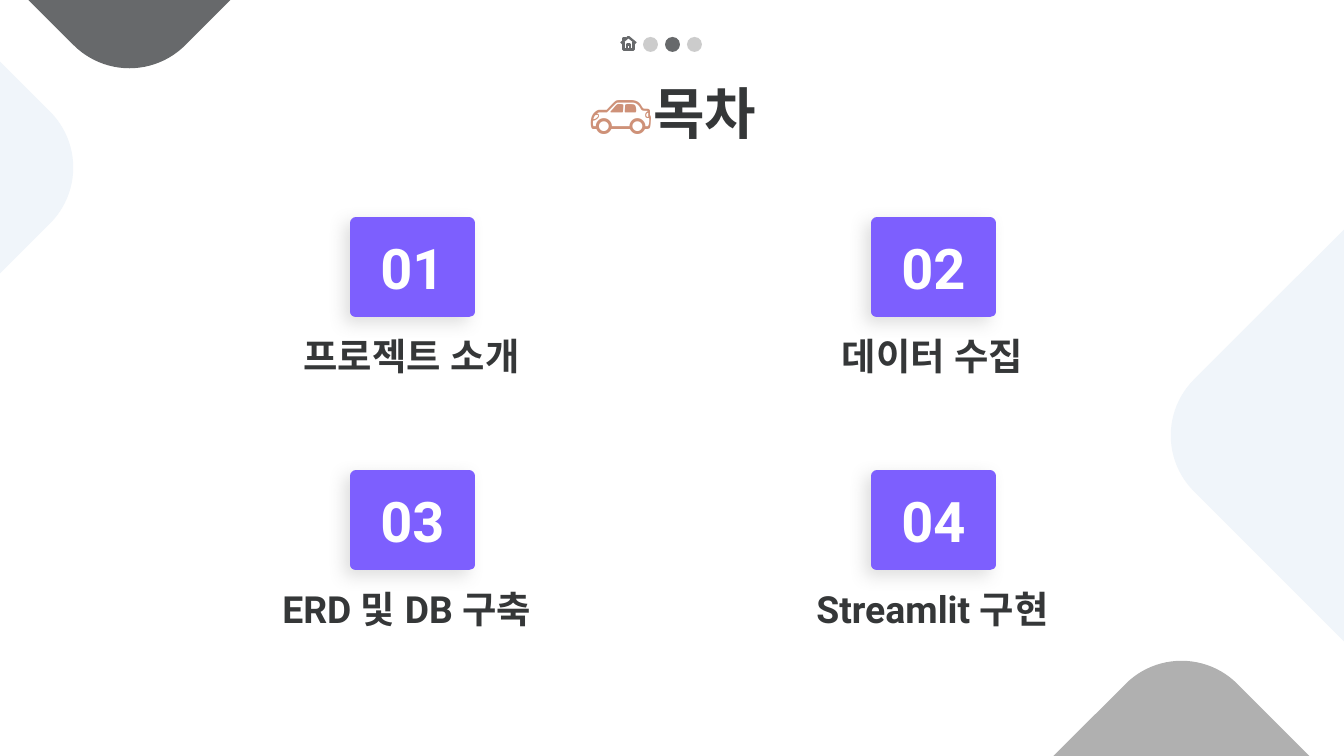
from dataclasses import dataclass

from lxml.etree import SubElement as Sub
from pptx import Presentation
from pptx.dml.color import RGBColor as RGB
from pptx.enum.shapes import MSO_SHAPE as Shape
from pptx.enum.text import MSO_ANCHOR as Anchor, MSO_AUTO_SIZE as AutoSize, PP_ALIGN as Align
from pptx.oxml.ns import qn
from pptx.util import Emu, Pt


@dataclass(frozen=True)
class Theme:
    accent: str = "7D5FFE"
    ink: str = "353738"
    dark: str = "67696B"
    grey: str = "B0B0B0"
    pale: str = "F0F5FA"
    white: str = "FFFFFF"
    car: str = "CE9178"
    font: str = "Roboto"
    emoji_font: str = "Courier New"
    title_size: float = 30
    emoji_size: float = 33.5
    label_size: float = 20


THEME = Theme()
SCALE = 914400 / 134.4


def px(n):
    return Emu(round(n * SCALE))


def write(tf, text, size, color, font=THEME.font, anchor=Anchor.MIDDLE):
    tf.word_wrap = True
    tf.auto_size = AutoSize.NONE
    tf.vertical_anchor = anchor
    tf.margin_left = tf.margin_right = tf.margin_top = tf.margin_bottom = px(13)
    p = tf.paragraphs[0]
    p.alignment = Align.CENTER
    r = p.add_run()
    r.text = text
    r.font.size = Pt(size)
    r.font.bold = True
    r.font.name = font
    r.font.color.rgb = RGB.from_string(color)
    Sub(r.font._element, qn("a:ea"), typeface=font)


def add_box(slide, kind, x, y, w, h, fill, alpha=None):
    s = slide.shapes.add_shape(kind, px(x), px(y), px(w), px(h))
    s.shadow.inherit = False
    s.fill.solid()
    s.fill.fore_color.rgb = RGB.from_string(fill)
    s.line.fill.background()
    if alpha:
        color = s._element.spPr.find(".//" + qn("a:srgbClr"))
        Sub(color, qn("a:alpha"), val=str(alpha * 1000))
    return s


def add_backdrop(slide):
    corners = [(-107, -470, THEME.dark), (1236, 199, THEME.pale),
               (-465, -69, THEME.pale), (945, 726, THEME.grey)]
    for x, y, color in corners:
        s = add_box(slide, Shape.ROUNDED_RECTANGLE, x, y, 473, 473, color)
        s.adjustments[0] = 0.167
        s.rotation = 315


def add_title(slide, x, y, w, h):
    title = slide.shapes.title
    title.left, title.top, title.width, title.height = px(x), px(y), px(w), px(h)
    tf = title.text_frame
    write(tf, "🚗", THEME.emoji_size, THEME.car, font=THEME.emoji_font, anchor=Anchor.TOP)
    write(tf, "목차", THEME.title_size, THEME.ink, anchor=Anchor.TOP)


def add_house(slide, x, y, size):
    roof = [(0, 5), (6, 0), (12, 5)]
    walls = [(2, 4), (2, 10), (10, 10), (10, 4)]
    door = [(5, 10), (5, 6), (7, 6), (7, 10)]
    chimney = [(2, 3), (2, 1), (4, 1)]
    fb = slide.shapes.build_freeform(*roof[0], scale=px(size) / 12)
    fb.add_line_segments(roof[1:], close=False)
    for start, *rest in (walls, door, chimney):
        fb.move_to(*start)
        fb.add_line_segments(rest, close=False)
    s = fb.convert_to_shape(px(x), px(y))
    s.shadow.inherit = False
    s.fill.background()
    s.line.color.rgb = RGB.from_string(THEME.dark)
    s.line.width = Pt(1.25)


def add_navigation(slide, x, y, size, pitch):
    add_house(slide, x, y, size)
    for i, (color, alpha) in enumerate([(THEME.grey, 64), (THEME.dark, None), (THEME.grey, 64)], 1):
        add_box(slide, Shape.OVAL, x + i * pitch, y, size, size, color, alpha)


def add_card_shadow(s):
    effects = s._element.spPr.find(qn("a:effectLst"))
    shadow = Sub(effects, qn("a:outerShdw"), blurRad=str(Pt(9)), dist=str(Pt(4.5)),
                 dir=str(140 * 60000), algn="bl", rotWithShape="0")
    color = Sub(shadow, qn("a:srgbClr"), val=THEME.grey)
    Sub(color, qn("a:alpha"), val="40000")


def add_card(slide, x, y, w, number, label):
    s = add_box(slide, Shape.RECTANGLE, x + (w - 113) // 2 + 1, y, 113, 89, THEME.accent)
    s.line.color.rgb = RGB.from_string(THEME.accent)
    s.line.width = Pt(6)
    Sub(s.line._get_or_add_ln(), qn("a:round"))
    add_card_shadow(s)
    write(s.text_frame, number, THEME.title_size, THEME.white)
    tb = slide.shapes.add_textbox(px(x), px(y + 95), px(w), px(73))
    write(tb.text_frame, label, THEME.label_size, THEME.ink, anchor=Anchor.BOTTOM)


def add_contents(slide, x, y):
    labels = ["프로젝트 소개", "데이터 수집", "ERD 및 DB 구축 ", "Streamlit 구현"]
    for i, label in enumerate(labels):
        row, col = divmod(i, 2)
        add_card(slide, x + col * 521, y + row * 253, 457, f"{i + 1:02}", label)


def main():
    prs = Presentation()
    prs.slide_width, prs.slide_height = px(1344), px(756)
    slide = prs.slides.add_slide(prs.slide_layouts[5])
    add_backdrop(slide)
    add_title(slide, 106, 59, 1133, 93)
    add_contents(slide, 183, 223)
    add_navigation(slide, 621, 37, 15, 22)
    prs.save("out.pptx")


if __name__ == "__main__":
    main()
